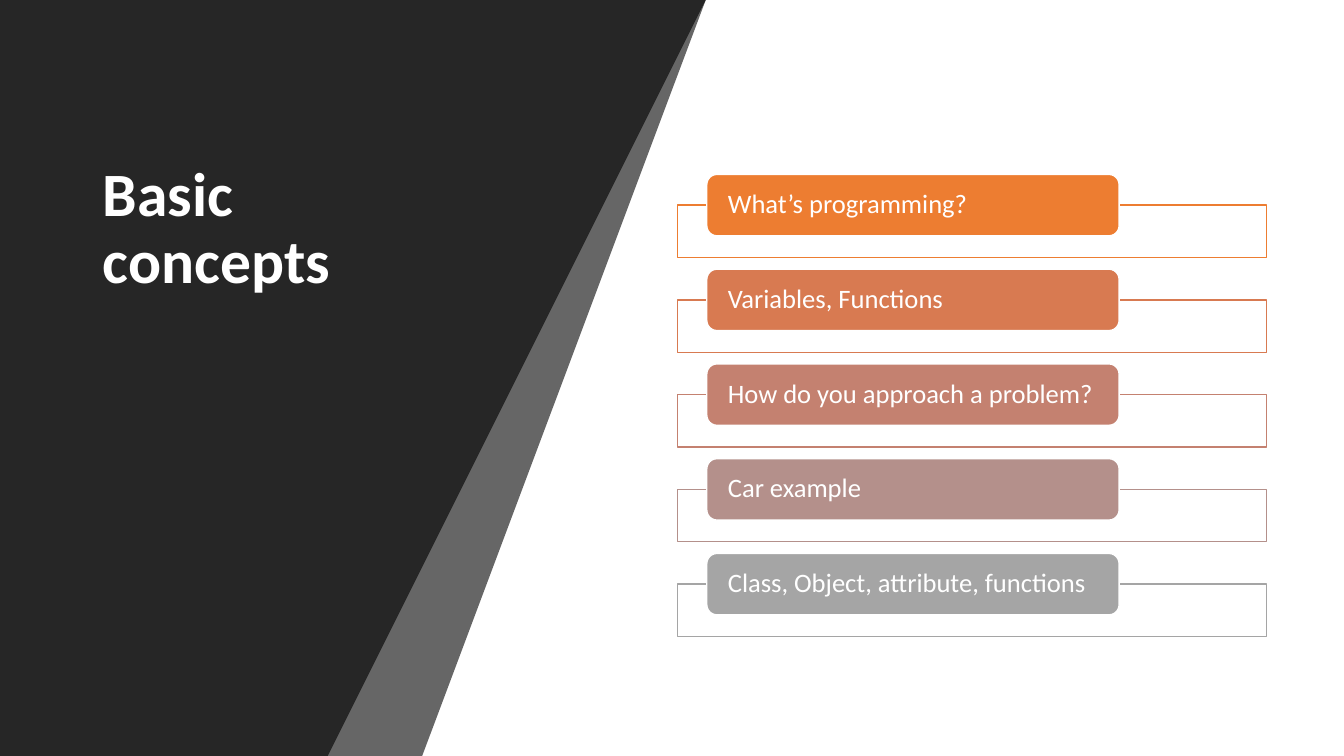
"""Build the Basic concepts agenda slide."""
from lxml.etree import SubElement
from pptx import Presentation
from pptx.dml.color import RGBColor
from pptx.enum.shapes import MSO_SHAPE
from pptx.enum.text import MSO_ANCHOR, MSO_AUTO_SIZE, PP_ALIGN
from pptx.oxml.ns import qn
from pptx.util import Inches, Pt

DARK = RGBColor(0x26, 0x26, 0x26)
WHITE = RGBColor(0xFF, 0xFF, 0xFF)

TITLE = "Basic concepts"
TOPICS = [
    ("What’s programming?", RGBColor(0xED, 0x7D, 0x31)),
    ("Variables, Functions", RGBColor(0xD8, 0x7A, 0x51)),
    ("How do you approach a problem?", RGBColor(0xC4, 0x81, 0x70)),
    ("Car example", RGBColor(0xB4, 0x90, 0x8B)),
    ("Class, Object, attribute, functions", RGBColor(0xA5, 0xA5, 0xA5)),
]
PANELS = [(6.98, 3.5, 70), (6.53, 3.05, 100)]

WIDTH, HEIGHT = 13.33, 7.5
TITLE_BOX = (0.92, 0.48, 3.58, 3.6)
FIRST_TOP, ROW_PITCH = 1.73, 0.94
FRAME_LEFT, FRAME_WIDTH, FRAME_HEIGHT = 6.72, 5.84, 0.52
LABEL_LEFT, LABEL_WIDTH, LABEL_HEIGHT = 7.01, 4.09, 0.61
TITLE_FONT = {"name": "Calibri", "size": Pt(44), "bold": True}
LABEL_FONT = {"name": "Calibri", "size": Pt(19), "bold": False}


def set_fill(shape, color, opacity=100):
    shape.shadow.inherit = False
    shape.fill.solid()
    shape.fill.fore_color.rgb = color
    if opacity < 100:
        color_element = shape.fill._xPr.find(qn("a:solidFill"))[0]
        SubElement(color_element, qn("a:alpha"), val=str(opacity * 1000))


def write_text(shape, text, font_format, inset):
    frame = shape.text_frame
    frame.word_wrap = True
    frame.auto_size = MSO_AUTO_SIZE.NONE
    frame.vertical_anchor = MSO_ANCHOR.MIDDLE
    frame.margin_left = frame.margin_right = Inches(inset)
    frame.text = text
    paragraph = frame.paragraphs[0]
    paragraph.alignment = PP_ALIGN.LEFT
    paragraph.line_spacing = 0.9
    font = paragraph.runs[0].font
    font.color.rgb = WHITE
    for name, value in font_format.items():
        setattr(font, name, value)


def add_panel(slide, top_width, bottom_width, opacity):
    builder = slide.shapes.build_freeform(0, 0, scale=Inches(1))
    builder.add_line_segments(
        [(top_width, 0), (bottom_width, HEIGHT), (0, HEIGHT)], close=True)
    panel = builder.convert_to_shape()
    set_fill(panel, DARK, opacity)
    panel.line.fill.background()


def add_box(slide, kind, box, fill, line, opacity=100):
    shape = slide.shapes.add_shape(kind, *map(Inches, box))
    set_fill(shape, fill, opacity)
    shape.line.color.rgb = line
    shape.line.width = Pt(1)
    return shape


def add_topic(slide, row, text, color):
    top = FIRST_TOP + row * ROW_PITCH
    frame_box = (FRAME_LEFT, top + LABEL_HEIGHT / 2, FRAME_WIDTH, FRAME_HEIGHT)
    label_box = (LABEL_LEFT, top, LABEL_WIDTH, LABEL_HEIGHT)
    add_box(slide, MSO_SHAPE.RECTANGLE, frame_box, WHITE, color, 90)
    label = add_box(slide, MSO_SHAPE.ROUNDED_RECTANGLE, label_box, color, WHITE)
    write_text(label, text, LABEL_FONT, 0.18)


def main():
    presentation = Presentation()
    presentation.slide_width = Inches(WIDTH)
    presentation.slide_height = Inches(HEIGHT)
    slide = presentation.slides.add_slide(presentation.slide_layouts[5])

    for panel in PANELS:
        add_panel(slide, *panel)

    title = slide.shapes.title
    title.left, title.top, title.width, title.height = map(Inches, TITLE_BOX)
    write_text(title, TITLE, TITLE_FONT, 0.1)
    slide.shapes._spTree.append(title._element)

    for row, (text, color) in enumerate(TOPICS):
        add_topic(slide, row, text, color)

    presentation.save("out.pptx")


if __name__ == "__main__":
    main()
